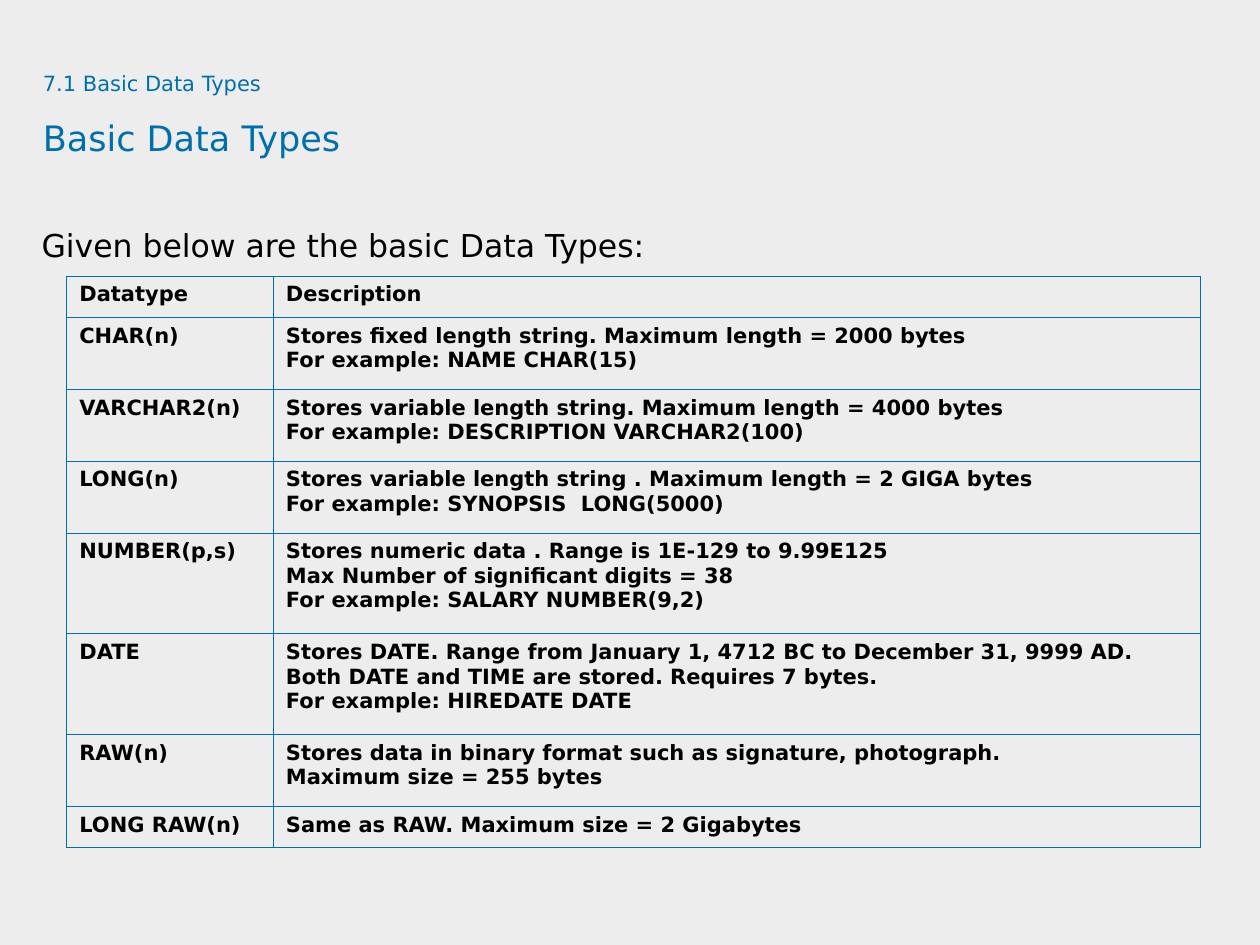
"""Build the slide listing the basic data types."""
from lxml import etree
from pptx import Presentation
from pptx import util as u
from pptx.dml.color import RGBColor
from pptx.enum import text
from pptx.oxml.ns import qn

FONT, BLUE, BLACK, GREY = "DejaVu Sans", "0070AD", "000000", "EDEDED"
WIDTH, HEIGHT = 10, 7.5
HEADING = [("7.1 Basic Data Types", 12), ("Basic Data Types", 20)]
INTRO = [("Given below are the basic Data Types:", 18)]
DATATYPES = [
    ("Datatype", ["Description"]),
    ("CHAR(n)", ["Stores fixed length string. Maximum length = 2000 bytes",
                 "For example: NAME CHAR(15)"]),
    ("VARCHAR2(n)", ["Stores variable length string. Maximum length = 4000 bytes",
                     "For example: DESCRIPTION VARCHAR2(100)"]),
    ("LONG(n)", ["Stores variable length string . Maximum length = 2 GIGA bytes",
                 "For example: SYNOPSIS  LONG(5000)"]),
    ("NUMBER(p,s)", ["Stores numeric data . Range is 1E-129 to 9.99E125",
                     "Max Number of significant digits = 38",
                     "For example: SALARY NUMBER(9,2)"]),
    ("DATE", ["Stores DATE. Range from January 1, 4712 BC to December 31, 9999 AD. "
              "Both DATE and TIME are stored. Requires 7 bytes.",
              "For example: HIREDATE DATE"]),
    ("RAW(n)", ["Stores data in binary format such as signature, photograph.",
                "Maximum size = 255 bytes"]),
    ("LONG RAW(n)", ["Same as RAW. Maximum size = 2 Gigabytes"]),
]
COLUMNS = [1.64, 7.36]
ROW_HEIGHTS = {1: 0.33, 2: 0.57, 3: 0.8}
SHOWN_LINES = [1, 2, 2, 2, 3, 3, 2, 1]


def rgb(color):
    """Turn a hex string into a colour."""
    return RGBColor.from_string(color)


def write(frame, lines, color=BLACK, bold=False, spacing=1.0, before=0, after=0):
    """Write (text, size) lines as one paragraph with line breaks."""
    paragraph = frame.paragraphs[0]
    paragraph.alignment = text.PP_ALIGN.LEFT
    paragraph.line_spacing = spacing
    paragraph.space_before, paragraph.space_after = u.Pt(before), u.Pt(after)
    for index, (words, size) in enumerate(lines):
        if index:
            paragraph.add_line_break()
        run = paragraph.add_run()
        run.text = words
        run.font.name, run.font.size, run.font.bold = FONT, u.Pt(size), bold
        run.font.color.rgb = rgb(color)


def place(holder, left, top, width, height):
    """Position a placeholder and clear its insets and bullet."""
    holder.left, holder.top = u.Inches(left), u.Inches(top)
    holder.width, holder.height = u.Inches(width), u.Inches(height)
    frame = holder.text_frame
    frame.margin_left = frame.margin_right = frame.margin_top = frame.margin_bottom = 0
    frame.word_wrap, frame.auto_size = True, text.MSO_AUTO_SIZE.NONE
    frame.vertical_anchor = text.MSO_ANCHOR.TOP
    properties = frame.paragraphs[0]._p.get_or_add_pPr()
    properties.set("marL", "0")
    properties.set("indent", "0")
    etree.SubElement(properties, qn("a:buNone"))
    return frame


def outline(cell, color, points):
    """Draw the four borders of a cell."""
    properties = cell._tc.get_or_add_tcPr()
    for position, side in enumerate(("a:lnL", "a:lnR", "a:lnT", "a:lnB")):
        line = etree.Element(qn(side), w=str(int(u.Pt(points))))
        fill = etree.SubElement(line, qn("a:solidFill"))
        etree.SubElement(fill, qn("a:srgbClr"), val=color)
        properties.insert(position, line)


def add_datatypes(slide, left, top):
    """Add the table of data types."""
    heights = [ROW_HEIGHTS[count] for count in SHOWN_LINES]
    table = slide.shapes.add_table(
        len(DATATYPES), len(COLUMNS), u.Inches(left), u.Inches(top),
        u.Inches(sum(COLUMNS)), u.Inches(sum(heights))).table
    table.first_row = table.horz_banding = False
    for column, width in zip(table.columns, COLUMNS):
        column.width = u.Inches(width)
    for row, height, (datatype, description) in zip(table.rows, heights, DATATYPES):
        row.height = u.Inches(height)
        for cell, lines in zip(row.cells, ([datatype], description)):
            cell.fill.background()
            outline(cell, BLUE, 0.45)
            write(cell.text_frame, [(line, 12) for line in lines], bold=True, before=3)


def main():
    """Assemble and save the slide."""
    deck = Presentation()
    deck.slide_width, deck.slide_height = u.Inches(WIDTH), u.Inches(HEIGHT)
    slide = deck.slides.add_slide(deck.slide_layouts[1])
    slide.background.fill.solid()
    slide.background.fill.fore_color.rgb = rgb(GREY)
    heading, intro = slide.shapes.title, slide.placeholders[1]
    write(place(heading, 0.34, 0.46, 9.09, 0.94), HEADING, color=BLUE, spacing=1.5)
    write(place(intro, 0.33, 1.64, 9.67, 5.08), INTRO, spacing=1.5, after=4.5)
    add_datatypes(slide, 0.53, 2.19)
    deck.save("out.pptx")


if __name__ == "__main__":
    main()
